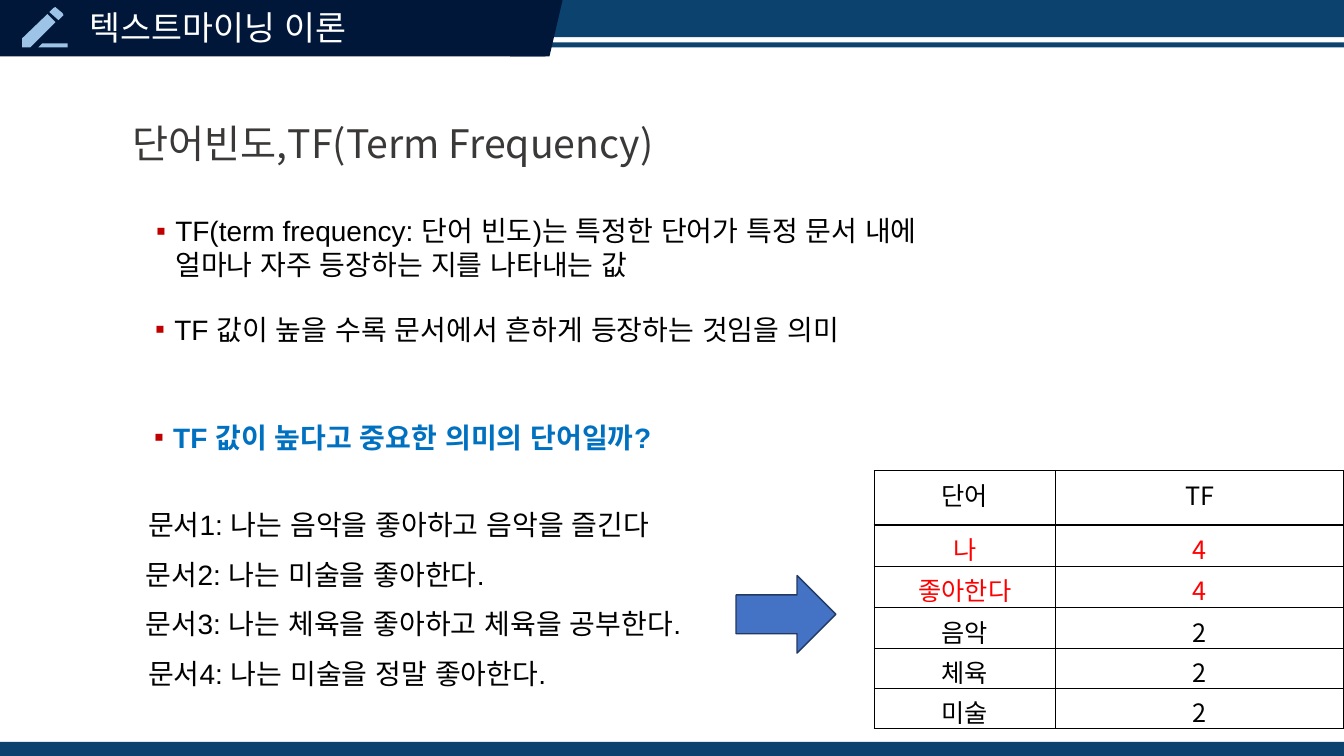
import pptx
import pptx.util
import pptx.dml.color
import pptx.enum.lang
import pptx.enum.shapes
import pptx.enum.text
import pptx.oxml
import pptx.oxml.ns
from dataclasses import dataclass
from lxml import etree

Inches = pptx.util.Inches
Pt = pptx.util.Pt
SHAPE = pptx.enum.shapes.MSO_SHAPE
ANCHOR = pptx.enum.text.MSO_ANCHOR
ALIGN = pptx.enum.text.PP_ALIGN


@dataclass(frozen=True)
class Theme:
    band: str = "0B426E"
    navy: str = "001739"
    icon: str = "9DC3E6"
    white: str = "FFFFFF"
    black: str = "000000"
    heading: str = "3B3838"
    bullet: str = "C00000"
    question: str = "0070C0"
    top_word: str = "FF0000"
    arrow: str = "4472C4"
    arrow_line: str = "223961"
    latin: str = "Arial"
    korean: str = "Noto Sans CJK KR"
    heading_size: int = 28
    title_size: int = 24
    body_size: int = 20
    table_size: int = 18


THEME = Theme()


def rgb(value):
    return pptx.dml.color.RGBColor.from_string(value)


def add_child(parent, tag, **attributes):
    return etree.SubElement(parent, pptx.oxml.ns.qn(tag), **attributes)


def paint(shape, fill, line=None):
    shape.shadow.inherit = False
    shape.fill.solid()
    shape.fill.fore_color.rgb = rgb(fill)
    if line:
        shape.line.color.rgb = rgb(line)
        shape.line.width = Pt(1)
    else:
        shape.line.fill.background()


def add_block(slide, kind, left, top, width, height, fill, line=None):
    block = slide.shapes.add_shape(
        kind, Inches(left), Inches(top), Inches(width), Inches(height))
    paint(block, fill, line)


def write(para, text, size=THEME.body_size, color=THEME.black,
          font=THEME.latin, bold=False, align=None):
    """Add one formatted span, with a Korean face for East Asian letters."""
    span = para.add_run()
    span.text = text
    span.font.size = Pt(size)
    span.font.bold = bold
    span.font.name = font
    span.font.language_id = pptx.enum.lang.MSO_LANGUAGE_ID.KOREAN
    span.font.color.rgb = rgb(color)
    add_child(span.font._element, "a:ea", typeface=THEME.korean)
    if align is not None:
        para.alignment = align


def add_bullet(para):
    properties = para._p.get_or_add_pPr()
    properties.set("marL", str(Inches(0.19)))
    properties.set("indent", str(-Inches(0.19)))
    add_child(add_child(properties, "a:buClr"), "a:srgbClr", val=THEME.bullet)
    add_child(properties, "a:buFont", typeface=THEME.latin)
    add_child(properties, "a:buChar", char="▪")


def add_text(slide, text, left, top, width, height, bullet=False, wrap=True,
             anchor=ANCHOR.TOP, line_spacing=None, **text_format):
    box = slide.shapes.add_textbox(
        Inches(left), Inches(top), Inches(width), Inches(height))
    box.text_frame.word_wrap = wrap
    box.text_frame.vertical_anchor = anchor
    para = box.text_frame.paragraphs[0]
    if line_spacing:
        para.line_spacing = line_spacing
    if bullet:
        add_bullet(para)
    write(para, text, **text_format)


def add_pencil(slide):
    outlines = [
        [(0.22, 0.38), (0.22, 0.47), (0.3, 0.47), (0.55, 0.22), (0.47, 0.14)],
        [(0.62, 0.16), (0.63, 0.15), (0.62, 0.13), (0.56, 0.08),
         (0.55, 0.07), (0.53, 0.08), (0.49, 0.12), (0.58, 0.2)],
        [(0.42, 0.43), (0.38, 0.47), (0.67, 0.47), (0.67, 0.43)],
    ]
    outlines = [[(Inches(x), Inches(y)) for x, y in points]
                for points in outlines]
    builder = slide.shapes.build_freeform(*outlines[0][0])
    for index, points in enumerate(outlines):
        if index:
            builder.move_to(*points[0])
        builder.add_line_segments(points[1:], close=True)
    paint(builder.convert_to_shape(), THEME.icon)


def set_borders(cell, **widths):
    properties = cell._tc.get_or_add_tcPr()
    # Border lines come before the fill in the cell properties
    for index, side in enumerate(("lnL", "lnR", "lnT", "lnB")):
        border = pptx.oxml.parse_xml(
            f'<a:{side} {pptx.oxml.ns.nsdecls("a")} '
            f'w="{Pt(widths.get(side, 1))}"><a:solidFill>'
            f'<a:srgbClr val="{THEME.black}"/></a:solidFill></a:{side}>')
        properties.insert(index, border)


def add_frequency_table(slide, rows):
    widths = [1.8, 2.86]
    heights = [0.54, 0.41, 0.41, 0.4, 0.4, 0.4]
    frame = slide.shapes.add_table(
        len(rows), len(widths), Inches(8.67), Inches(4.67),
        Inches(sum(widths)), Inches(sum(heights)))
    table = frame.table
    for column, width in zip(table.columns, widths):
        column.width = Inches(width)
    for row_index, (values, height) in enumerate(zip(rows, heights)):
        table.rows[row_index].height = Inches(height)
        color = THEME.top_word if values[1] == "4" else THEME.black
        for column_index, value in enumerate(values):
            cell = table.cell(row_index, column_index)
            cell.fill.background()
            cell.margin_top, cell.margin_bottom = Inches(0.05), 0
            write(cell.text_frame.paragraphs[0], value, size=THEME.table_size,
                  font=THEME.korean, color=color, align=ALIGN.CENTER)
            set_borders(cell, lnT=1.5 if row_index == 1 else 1,
                        lnB=1.5 if row_index == 0 else 1)


def add_header(slide):
    for left, top, width, height in [
            (-0.02, 7.36, 13.35, 0.17), (-0.02, 0.42, 13.35, 0.05),
            (0, 0, 13.35, 0.37)]:
        add_block(slide, SHAPE.RECTANGLE, left, top, width, height, THEME.band)
    add_block(slide, SHAPE.RECTANGLE, -0.02, 0, 5.43, 0.56, THEME.navy)
    add_block(slide, SHAPE.PARALLELOGRAM, 5.06, 0, 0.52, 0.56, THEME.navy)
    add_text(slide, "텍스트마이닝 이론", 0.79, 0, 6.72, 0.58,
             anchor=ANCHOR.MIDDLE, line_spacing=0.9, size=THEME.title_size,
             font=THEME.korean, color=THEME.white)
    add_pencil(slide)


def main():
    deck = pptx.Presentation()
    deck.slide_width, deck.slide_height = Inches(13.33), Inches(7.5)
    slide = deck.slides.add_slide(deck.slide_layouts[6])

    # Header and heading
    add_header(slide)
    add_text(slide, "단어빈도,TF(Term Frequency)", 1.22, 1.13, 6.23, 0.57,
             wrap=False, size=THEME.heading_size, font=THEME.korean,
             color=THEME.heading)

    # Definition and question
    add_text(slide, "TF(term frequency: 단어 빈도)는 특정한 단어가 특정 문서 내에 "
             "얼마나 자주 등장하는 지를 나타내는 값",
             1.45, 2.07, 8.53, 0.77, bullet=True)
    add_text(slide, "TF 값이 높을 수록 문서에서 흔하게 등장하는 것임을 의미",
             1.44, 3.05, 8.53, 0.43, bullet=True)
    add_text(slide, "TF 값이 높다고 중요한 의미의 단어일까?",
             1.43, 4.12, 8.53, 0.44, bullet=True, bold=True,
             color=THEME.question)

    # Example documents
    documents = [
        (1.37, "나는 음악을 좋아하고 음악을 즐긴다"),
        (1.35, "나는 미술을 좋아한다."),
        (1.35, "나는 체육을 좋아하고 체육을 공부한다."),
        (1.37, "나는 미술을 정말 좋아한다."),
    ]
    for index, (left, sentence) in enumerate(documents):
        add_text(slide, f"문서{index + 1}: {sentence}",
                 left, 4.99 + 0.49 * index, 8.53, 0.43)

    # Resulting word counts
    add_block(slide, SHAPE.RIGHT_ARROW, 7.3, 5.71, 0.99, 0.77,
              THEME.arrow, THEME.arrow_line)
    add_frequency_table(slide, [
        ("단어", "TF"), ("나", "4"), ("좋아한다", "4"),
        ("음악", "2"), ("체육", "2"), ("미술", "2")])

    deck.save("out.pptx")


if __name__ == "__main__":
    main()
